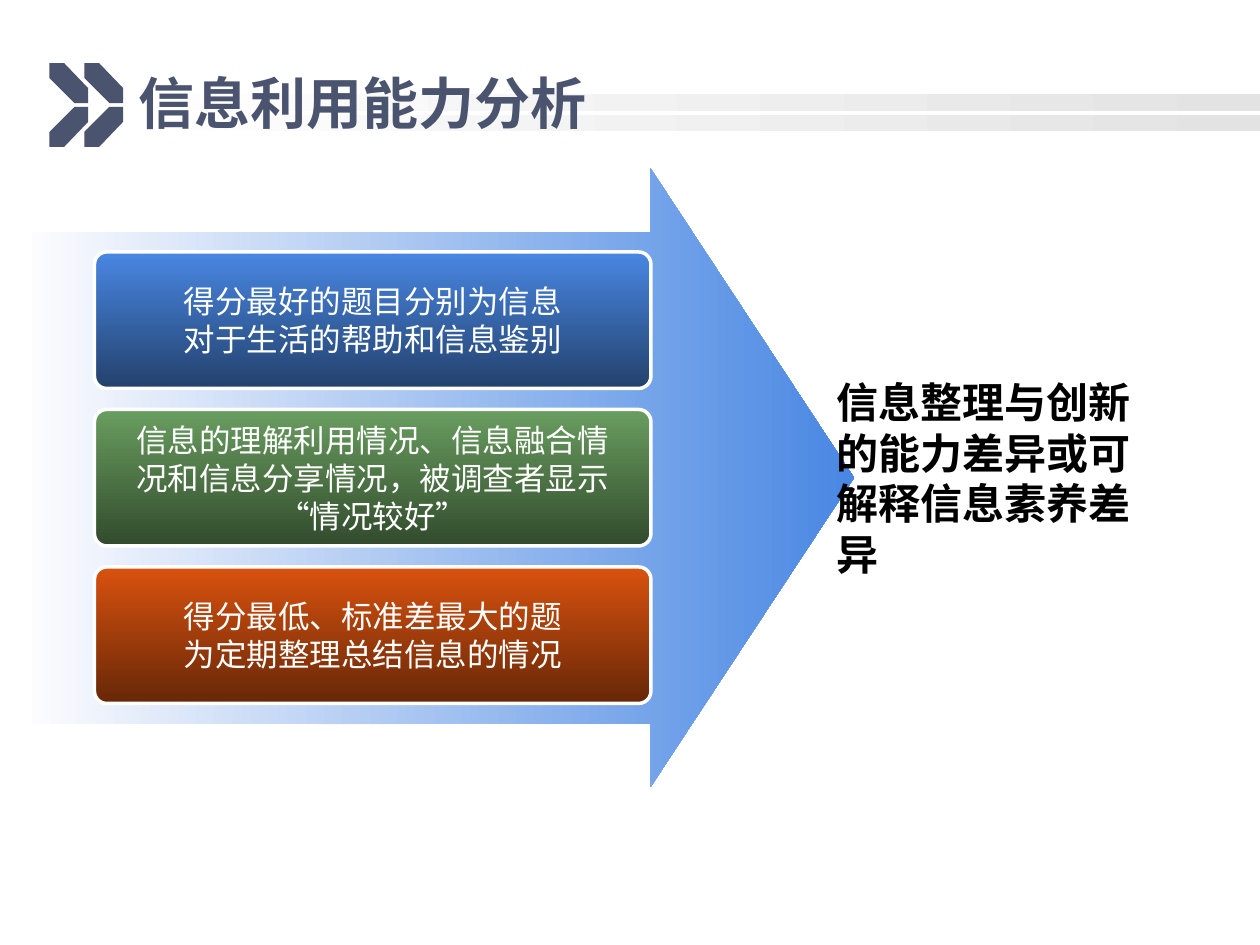
import pptx
import pptx.dml.color
import pptx.enum.shapes
import pptx.enum.text
import pptx.util

Pt = pptx.util.Pt
SHAPES = pptx.enum.shapes.MSO_SHAPE
ALIGN = pptx.enum.text.PP_ALIGN
SLATE = "4B546F"


def paint(shape, start, end=None, angle=0):
    """Fill with one colour, or with a gradient if an end colour is given."""
    shape.shadow.inherit = False
    shape.line.fill.background()
    if end is None:
        shape.fill.solid()
        shape.fill.fore_color.rgb = pptx.dml.color.RGBColor.from_string(start)
        return
    shape.fill.gradient()
    shape.fill.gradient_angle = angle
    for stop, color in zip(shape.fill.gradient_stops, (start, end)):
        stop.color.rgb = pptx.dml.color.RGBColor.from_string(color)


def write(shape, text, size, color, bold=False, align=ALIGN.LEFT, wrap=True):
    frame = shape.text_frame
    frame.text = text
    frame.word_wrap = wrap
    frame.vertical_anchor = pptx.enum.text.MSO_ANCHOR.MIDDLE
    for para in frame.paragraphs:
        para.alignment = align
        for span in para.runs:
            span.font.name = "Arial"
            span.font.size = Pt(size)
            span.font.bold = bold
            span.font.color.rgb = pptx.dml.color.RGBColor.from_string(color)


deck = pptx.Presentation()
deck.slide_width, deck.slide_height = Pt(720), Pt(540)
page = deck.slides.add_slide(deck.slide_layouts[5])
shapes = page.shapes

# Header bands
for top in (54, 65.5):
    band = shapes.add_shape(SHAPES.RECTANGLE, Pt(54), Pt(top), Pt(666), Pt(9.4))
    paint(band, "FFFFFF", "E3E3E3")

# Double chevron: one piece, repeated to the right and mirrored downwards
piece = [(0, 0), (0, 8.6), (14.4, 23), (22.2, 23), (22.2, 14.4), (8.4, 0)]
for left in (28.2, 48.2):
    for top, direction in ((36, 1), (84, -1)):
        points = [(Pt(left + x), Pt(top + direction * y)) for x, y in piece]
        outline = shapes.build_freeform(*points[0])
        outline.add_line_segments(points[1:])
        paint(outline.convert_to_shape(), SLATE)

# Title, brought in front of the header
title = shapes.title
title.left, title.top, title.width, title.height = Pt(72), Pt(36), Pt(594), Pt(45)
write(title, "信息利用能力分析", 32, SLATE, bold=True)
shapes._spTree.append(title._element)

arrow = shapes.add_shape(SHAPES.RIGHT_ARROW, Pt(18), Pt(96), Pt(470), Pt(354))
arrow.adjustments[0], arrow.adjustments[1] = 0.793, 0.329
paint(arrow, "FCFCFE", "4987E3")

findings = [
    ("得分最好的题目分别为信息\n对于生活的帮助和信息鉴别", "4987E3", "23416C"),
    ("信息的理解利用情况、信息融合情\n况和信息分享情况，被调查者显示\n“情况较好”", "699D5F", "324B2D"),
    ("得分最低、标准差最大的题\n为定期整理总结信息的情况", "D9520F", "672707"),
]
for row, (text, light, dark) in enumerate(findings):
    box = shapes.add_shape(SHAPES.ROUNDED_RECTANGLE, Pt(54), Pt(144 + 90 * row), Pt(318), Pt(78))
    box.adjustments[0] = 0.09
    paint(box, light, dark, angle=270)
    box.line.color.rgb = pptx.dml.color.RGBColor.from_string("FFFFFF")
    box.line.width = Pt(2)
    write(box, text, 18, "FFFFFF", align=ALIGN.CENTER, wrap=False)

conclusion = shapes.add_shape(SHAPES.ROUNDED_RECTANGLE, Pt(468), Pt(222), Pt(198), Pt(102))
conclusion.adjustments[0] = 0.09
conclusion.shadow.inherit = False
conclusion.fill.background()
conclusion.line.fill.background()
write(conclusion, "信息整理与创新的能力差异或可解释信息素养差异", 24, "000000", bold=True)

deck.save("out.pptx")
